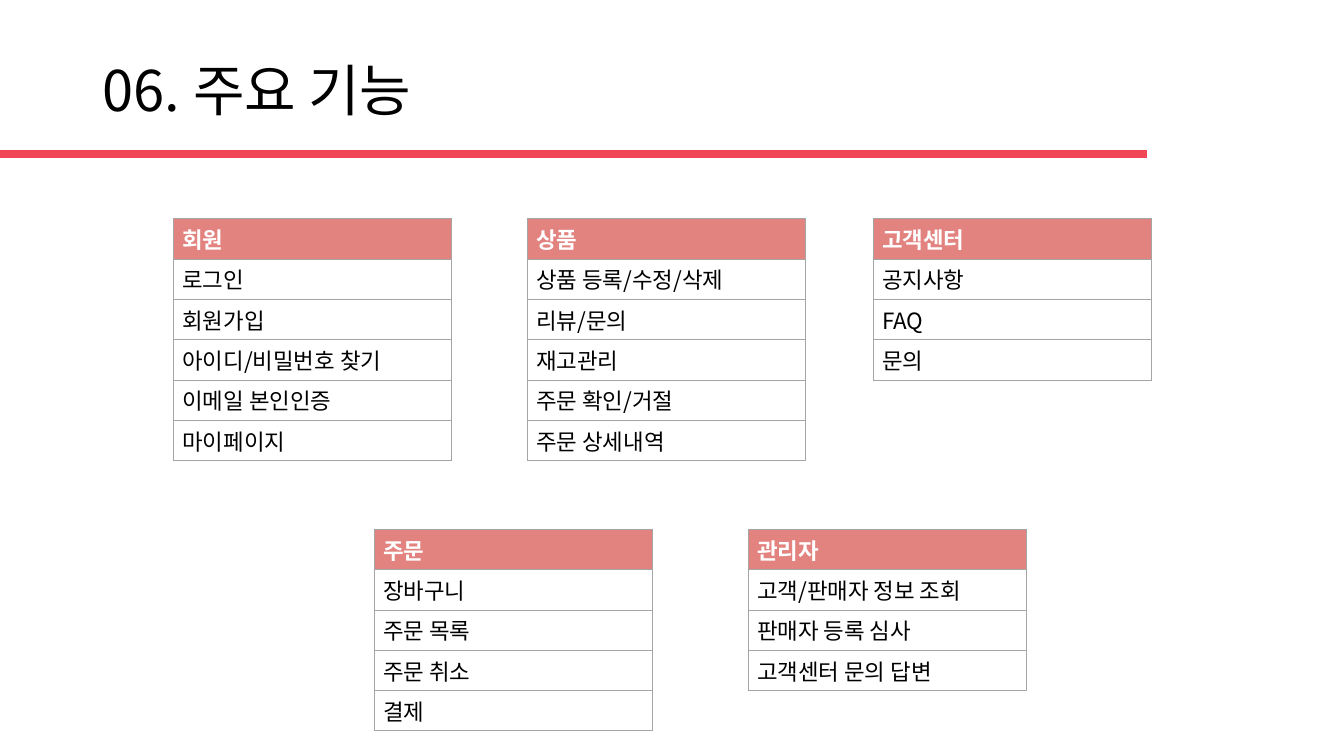
from pptx import Presentation
from pptx.dml.color import RGBColor
from pptx.enum.shapes import MSO_CONNECTOR
from pptx.enum.text import MSO_ANCHOR, MSO_AUTO_SIZE, PP_ALIGN
from pptx.oxml import parse_xml
from pptx.oxml.ns import nsdecls
from pptx.util import Inches, Pt

# Content: (left, top) in inches, then header and functions
TITLE = "06. 주요 기능"
UPPER, LOWER = 2.17, 5.25
TABLES = [
    (1.72, UPPER, ["회원", "로그인", "회원가입", "아이디/비밀번호 찾기",
                   "이메일 본인인증", "마이페이지"]),
    (5.23, UPPER, ["상품", "상품 등록/수정/삭제", "리뷰/문의", "재고관리",
                   "주문 확인/거절", "주문 상세내역"]),
    (8.66, UPPER, ["고객센터", "공지사항", "FAQ", "문의"]),
    (3.71, LOWER, ["주문", "장바구니", "주문 목록", "주문 취소", "결제"]),
    (7.42, LOWER, ["관리자", "고객/판매자 정보 조회", "판매자 등록 심사",
                   "고객센터 문의 답변"]),
]
COLUMN_W, ROW_H = 2.76, 0.36

THEME = {
    "font": "Noto Sans CJK KR",
    "rule": "F14656", "header": "E28380", "border": "A5A5A5",
    "title": {"size": Pt(40), "bold": False, "color": "000000"},
    "head": {"size": Pt(16), "bold": True, "color": "FFFFFF"},
    "body": {"size": Pt(16), "bold": False, "color": "000000"},
}


def write(tf, text, style):
    p = tf.paragraphs[0]
    p.alignment = PP_ALIGN.LEFT
    r = p.add_run()
    r.text = text
    r.font.name = THEME["font"]
    for key, value in THEME[style].items():
        if key == "color":
            r.font.color.rgb = RGBColor.from_string(value)
        else:
            setattr(r.font, key, value)
    r.font._element.append(parse_xml(
        f'<a:ea {nsdecls("a")} typeface="{THEME["font"]}"/>'))
    return p


def add_borders(cell):
    tcPr = cell._tc.get_or_add_tcPr()
    for side in "LRTB":
        tcPr.append(parse_xml(
            f'<a:ln{side} {nsdecls("a")} w="{Pt(0.5)}"><a:solidFill>'
            f'<a:srgbClr val="{THEME["border"]}"/></a:solidFill></a:ln{side}>'))


def add_function_table(s, left, top, rows):
    table = s.shapes.add_table(
        len(rows), 1, Inches(left), Inches(top),
        Inches(COLUMN_W), Inches(ROW_H * len(rows))).table
    table.horz_banding = False
    for i, text in enumerate(rows):
        cell = table.cell(i, 0)
        add_borders(cell)
        if i == 0:
            cell.fill.solid()
            cell.fill.fore_color.rgb = RGBColor.from_string(THEME["header"])
        else:
            cell.fill.background()
        cell.margin_left = cell.margin_right = Inches(0.09)
        cell.margin_top = cell.margin_bottom = Inches(0.04)
        write(cell.text_frame, text, "body" if i else "head")


prs = Presentation()
prs.slide_width, prs.slide_height = Inches(13.33), Inches(7.5)
s = prs.slides.add_slide(prs.slide_layouts[5])

# Title
title = s.shapes.title
title.left, title.top, title.width, title.height = map(
    Inches, (0.92, 0.4, 11.5, 1.06))
tf = title.text_frame
tf.word_wrap, tf.auto_size = True, MSO_AUTO_SIZE.NONE
tf.vertical_anchor = MSO_ANCHOR.MIDDLE
write(tf, TITLE, "title").line_spacing = 0.9

# Rule under the title
rule = s.shapes.add_connector(
    MSO_CONNECTOR.STRAIGHT, 0, Inches(1.53), Inches(11.38), Inches(1.53))
rule.line.color.rgb = RGBColor.from_string(THEME["rule"])
rule.line.width = Pt(6)
rule._element.spPr.append(parse_xml(f'<a:effectLst {nsdecls("a")}/>'))

# Function tables
for left, top, rows in TABLES:
    add_function_table(s, left, top, rows)

prs.save("out.pptx")
